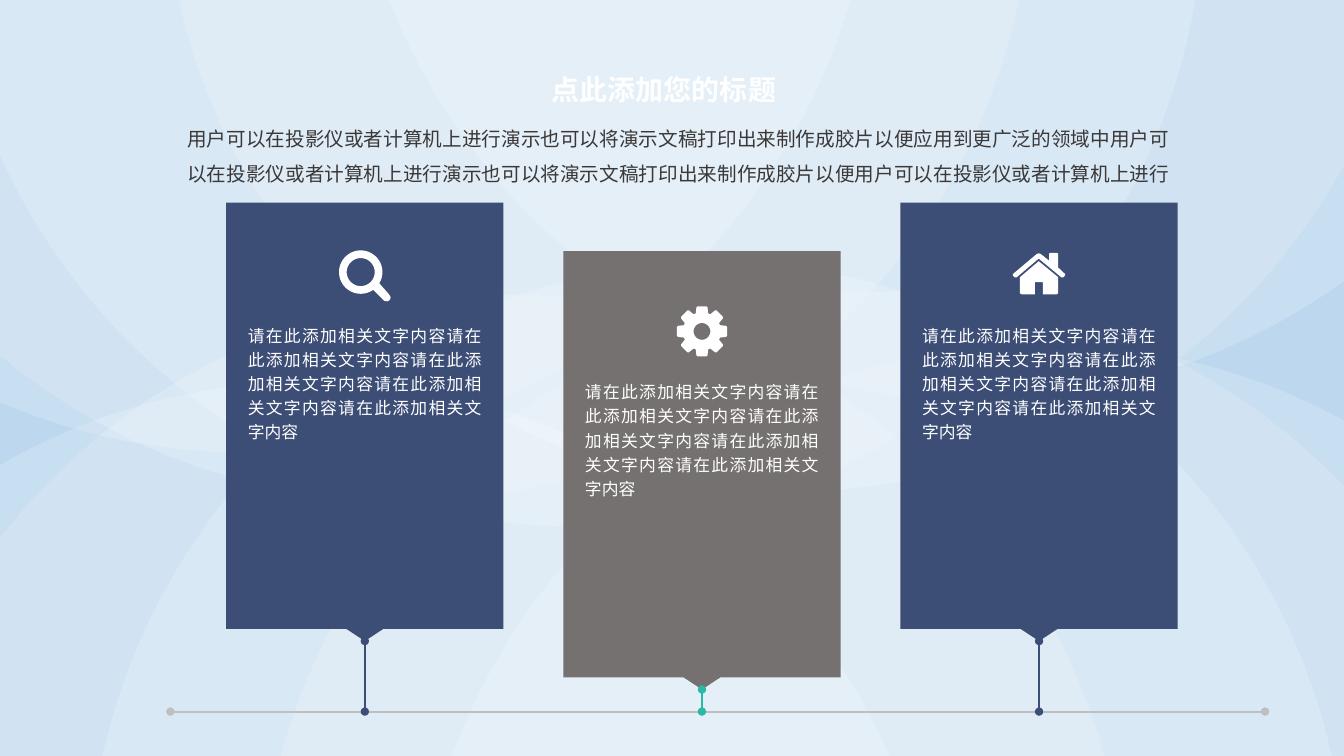
from math import cos, radians, sin

from lxml.etree import SubElement
from pptx import Presentation
from pptx.dml.color import RGBColor as RGB
from pptx.enum.shapes import MSO_CONNECTOR as CONN, MSO_SHAPE as SHAPE
from pptx.enum.text import MSO_ANCHOR as ANCHOR, MSO_AUTO_SIZE as AUTO, PP_ALIGN as ALIGN
from pptx.oxml.ns import qn
from pptx.util import Pt

FONT = "Noto Sans CJK SC"
COLORS = {
    "sky": "BDD7EE", "white": "FFFFFF", "navy": "3C4D76", "grey": "767171",
    "teal": "29B9A6", "axis": "BFBFBF", "ink": "3B3838",
}
TITLE = "点此添加您的标题"
INTRO = ("用户可以在投影仪或者计算机上进行演示也可以将演示文稿打印出来制作成胶片以便应用到更广泛的领域中"
         "用户可以在投影仪或者计算机上进行演示也可以将演示文稿打印出来制作成胶片以便"
         "用户可以在投影仪或者计算机上进行")
CARD_TEXT = "请在此添加相关文字内容" * 5
CIRCLE = 899.3
CIRCLES = [
    (62.6, 187.9), (-94.3, 210.2), (-225.4, 272.2), (185, 208.1), (295.2, 245.5),
    (-39.6, -523.4), (116.6, -548.6), (247, -613.4), (-162, -541.4), (-273.6, -576),
]
AXIS_Y = 508.3
CARD_LEFT, CARD_PITCH, CARD_W, CARD_H = 161.6, 240.8, 198, 313.2


def rgb(name):
    return RGB.from_string(COLORS[name])


def paint(sp, color, alpha=None):
    sp.shadow.inherit = False
    sp.fill.solid()
    sp.fill.fore_color.rgb = rgb(color)
    sp.line.fill.background()
    if alpha is not None:
        clr = sp._element.spPr.find(qn("a:solidFill"))[0]
        SubElement(clr, qn("a:alpha")).set("val", str(alpha * 1000))


def add_shape(slide, kind, box, color, alpha=None):
    sp = slide.shapes.add_shape(kind, *map(Pt, box))
    paint(sp, color, alpha)
    return sp


def add_text(slide, box, text, size, color, align=ALIGN.LEFT, spacing=1.0,
             bold=False, insets=(7.2, 3.6), anchor=ANCHOR.TOP):
    tf = slide.shapes.add_textbox(*map(Pt, box)).text_frame
    tf.word_wrap = True
    tf.auto_size = AUTO.SHAPE_TO_FIT_TEXT
    tf.vertical_anchor = anchor
    tf.margin_left = tf.margin_right = Pt(insets[0])
    tf.margin_top = tf.margin_bottom = Pt(insets[1])
    p = tf.paragraphs[0]
    p.alignment, p.line_spacing = align, spacing
    r = p.add_run()
    r.text = text
    r.font.size, r.font.bold = Pt(size), bold
    r.font.color.rgb = rgb(color)
    r.font.name = FONT
    SubElement(r.font._element, qn("a:ea")).set("typeface", FONT)


def add_line(slide, start, end, color):
    line = slide.shapes.add_connector(CONN.STRAIGHT, *map(Pt, start + end))
    line.line.color.rgb = rgb(color)
    line.line.width = Pt(1.5)
    ln = line.line._get_or_add_ln()
    for tag in ("a:headEnd", "a:tailEnd"):
        SubElement(ln, qn(tag)).set("type", "oval")
    SubElement(line._element.spPr, qn("a:effectLst"))
    return line


def add_icon(slide, left, top, contours):
    placed = [[(Pt(left + x), Pt(top + y)) for x, y in c] for c in contours]
    builder = slide.shapes.build_freeform(*placed[0][0])
    for i, points in enumerate(placed):
        if i:
            builder.move_to(*points[0])
        builder.add_line_segments(points[1:], close=True)
    paint(builder.convert_to_shape(), "white")


def polar(cx, cy, radius, angle):
    return cx + radius * cos(radians(angle)), cy + radius * sin(radians(angle))


def arc(cx, cy, radius, start=0, end=354):
    return [polar(cx, cy, radius, a) for a in range(start, end + 1, 6)]


def search_icon(slide, left, top):
    handle = [(36, 31), (37.2, 33), (36.6, 35), (34.8, 36), (32.6, 35.6)]
    add_icon(slide, left + 80.3, top + 34.6,
             [arc(15.8, 15.1, 15.5, 55, 391) + handle, arc(15.8, 15.1, 10)])


def gear_icon(slide, left, top):
    tooth = [(13.6, -19), (17.6, -13), (18.2, -10), (18.2, 10), (17.6, 13), (13.6, 19)]
    teeth = [polar(0, 0, r, turn + a) for turn in range(0, 360, 45) for r, a in tooth]
    add_icon(slide, left + CARD_W / 2, top + 57.4, [teeth, arc(0, 0, 6)])


def house_icon(slide, left, top):
    roof = [(36, 17.5), (34.8, 17.5), (18.5, 4), (2.6, 17.5), (1.4, 17.5),
            (0, 16), (0, 15.1), (17, 0.8), (18.5, 0.2), (20, 0.8), (25.9, 5.4),
            (25.9, 0.5), (26.5, 0), (31.9, 0), (32.4, 0.5), (32.4, 10.4),
            (37.3, 15), (37.3, 16)]
    body = [(32.4, 28.8), (31.2, 29.5), (21.5, 29.5), (21.5, 20.9), (15.7, 20.9),
            (15.7, 29.5), (6.3, 29.5), (5.1, 28.8), (5.1, 17.3), (18.5, 5.9),
            (32.4, 17.3)]
    add_icon(slide, left + 80.3, top + 36, [roof, body])


def draw_background(slide, width, height):
    add_shape(slide, SHAPE.RECTANGLE, (0, 0, width, height), "sky")
    for left, top in CIRCLES:
        add_shape(slide, SHAPE.OVAL, (left, top, CIRCLE, CIRCLE), "white", alpha=18)


def draw_heading(slide, left, top, width):
    add_text(slide, (left - 13.5, top, width, 36), TITLE, 20, "white",
             align=ALIGN.CENTER, bold=True, anchor=ANCHOR.MIDDLE)
    add_text(slide, (left, top + 32.5, width, 55.4), INTRO, 14, "ink", spacing=1.5)


def draw_card(slide, left, top, color, pin_color, icon, text_top):
    card = add_shape(slide, SHAPE.DOWN_ARROW_CALLOUT, (left, top, CARD_W, CARD_H), color)
    for i, value in enumerate((0.25, 0.067, 0.044, 0.975)):
        card.adjustments[i] = value
    icon(slide, left, top)
    add_text(slide, (left + 10.5, top + text_top, 177, 91.4), CARD_TEXT, 12, "white",
             align=ALIGN.JUSTIFY, spacing=1.2, insets=(5, 2.9))
    x = left + CARD_W / 2
    pin = add_line(slide, (x, top + CARD_H), (x, AXIS_Y), pin_color)
    pin.begin_connect(card, 2)


def draw_timeline(slide):
    add_line(slide, (121.7, AXIS_Y), (903.6, AXIS_Y), "axis")
    cards = [
        (144.7, "navy", "navy", search_icon, 82.1),
        (179.3, "grey", "teal", gear_icon, 87.8),
        (144.7, "navy", "navy", house_icon, 82.1),
    ]
    for i, card in enumerate(cards):
        draw_card(slide, CARD_LEFT + i * CARD_PITCH, *card)


def main():
    prs = Presentation()
    prs.slide_width, prs.slide_height = Pt(960), Pt(540)
    slide = prs.slides.add_slide(prs.slide_layouts[6])
    draw_background(slide, 960, 540)
    draw_timeline(slide)
    draw_heading(slide, 126.7, 46, 722.2)
    prs.save("out.pptx")


if __name__ == "__main__":
    main()
